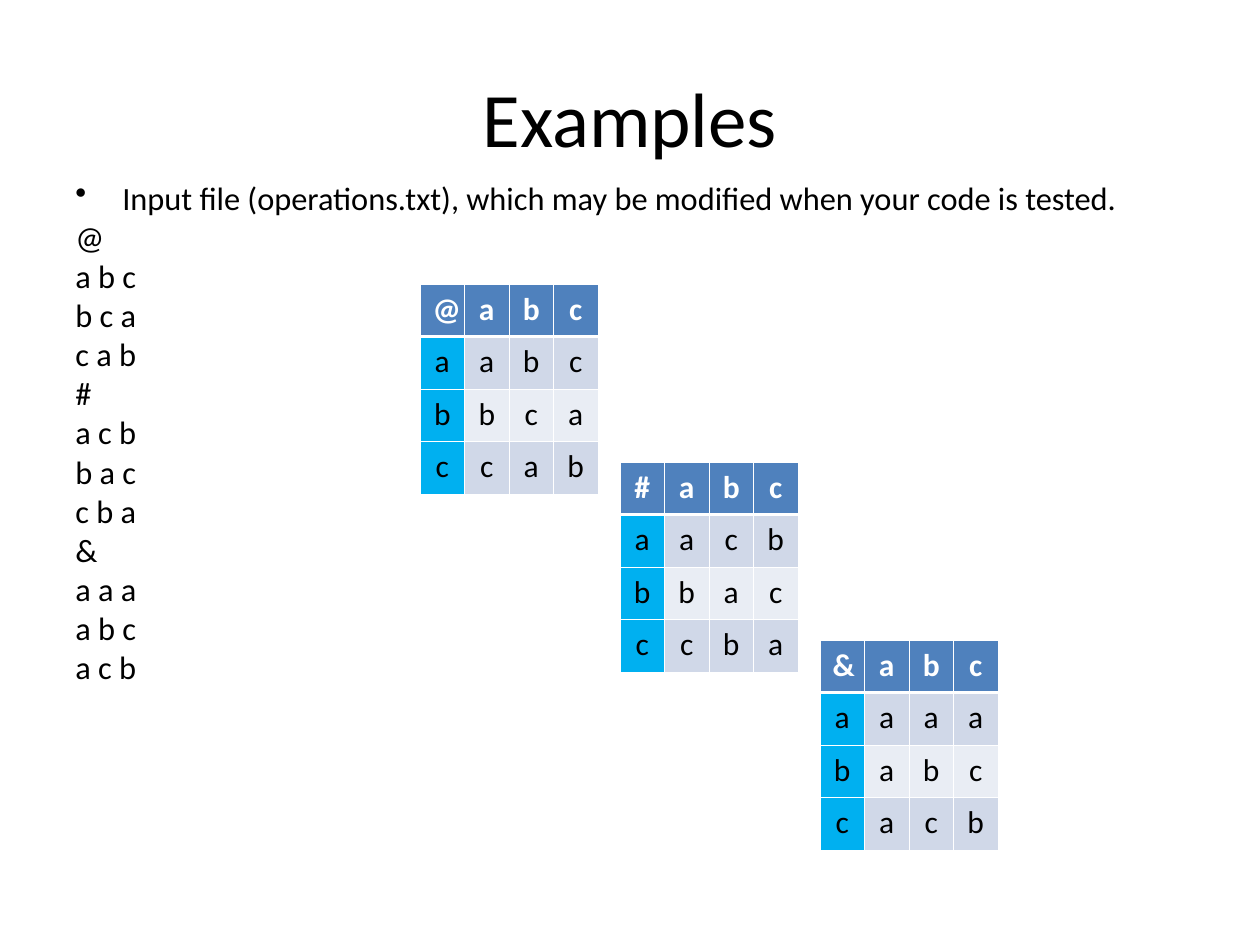
from dataclasses import dataclass

from lxml import etree
from pptx import Presentation
from pptx.dml.color import RGBColor
from pptx.enum.text import MSO_ANCHOR, PP_ALIGN
from pptx.oxml.ns import qn
from pptx.util import Emu, Pt

EMU_PER_PX = 914400 / 126
CENTER = PP_ALIGN.CENTER
LEFT = PP_ALIGN.LEFT
MIDDLE = MSO_ANCHOR.MIDDLE
TOP = MSO_ANCHOR.TOP

FONT = "Calibri"
BLACK = "000000"
WHITE = "FFFFFF"
HEADER_FILL = "4F81BD"
KEY_FILL = "00B0F0"
BAND_FILLS = ("D0D8E8", "E9EDF4")
THIN_BORDER = Pt(0.45)
HEADER_BORDER = Pt(1.47)

ELEMENTS = ("a", "b", "c")
TABLE_LEFT, TABLE_TOP = 420, 284
TABLE_WIDTH, TABLE_HEIGHT = 178, 210
STEP_X, STEP_Y = 200, 178
HANGING_INDENT = 47


@dataclass(frozen=True)
class Operation:
    symbol: str
    results: tuple[str, ...]


OPERATIONS = (
    Operation("@", ("a b c", "b c a", "c a b")),
    Operation("#", ("a c b", "b a c", "c b a")),
    Operation("&", ("a a a", "a b c", "a c b")),
)


def px(length: int) -> Emu:
    return Emu(round(length * EMU_PER_PX))


def color(hex_value: str) -> RGBColor:
    return RGBColor.from_string(hex_value)


def style_paragraph(paragraph, size: float, alignment, hex_value: str = BLACK,
                    bold: bool = False) -> None:
    paragraph.alignment = alignment
    paragraph.font.name = FONT
    paragraph.font.size = Pt(size)
    paragraph.font.bold = bold
    paragraph.font.color.rgb = color(hex_value)


def add_text_frame(slide, left: int, top: int, width: int, height: int, anchor):
    shape = slide.shapes.add_textbox(px(left), px(top), px(width), px(height))
    text_frame = shape.text_frame
    text_frame.word_wrap = True
    text_frame.vertical_anchor = anchor
    return text_frame


def add_title(slide) -> None:
    paragraph = add_text_frame(slide, 63, 38, 1134, 158, MIDDLE).paragraphs[0]
    paragraph.text = "Examples"
    style_paragraph(paragraph, 44, CENTER)


def set_hanging_bullet(paragraph, bulleted: bool) -> None:
    properties = paragraph._p.get_or_add_pPr()
    properties.set("marL", str(px(HANGING_INDENT)))
    properties.set("indent", str(-px(HANGING_INDENT)))
    bullet = etree.Element(qn("a:buChar" if bulleted else "a:buNone"))
    if bulleted:
        bullet.set("char", "•")
    properties.insert_element_before(bullet, "a:tabLst", "a:defRPr", "a:extLst")


def add_input_listing(slide) -> None:
    lines = ["Input file (operations.txt), which may be modified when your code is tested."]
    for operation in OPERATIONS:
        lines += [operation.symbol, *operation.results]

    text_frame = add_text_frame(slide, 63, 179, 1134, 624, TOP)
    text_frame.text = "\n".join(lines)
    for index, paragraph in enumerate(text_frame.paragraphs):
        style_paragraph(paragraph, 18.5, LEFT)
        paragraph.line_spacing = 0.8
        paragraph.space_before = Pt(4.6)
        set_hanging_bullet(paragraph, bulleted=index == 0)


def set_borders(cell, row: int) -> None:
    """Draw white cell edges, with a heavier one under the header row."""
    properties = cell._tc.get_or_add_tcPr()
    for side in ("L", "R", "T", "B"):
        under_header = (row, side) in ((0, "B"), (1, "T"))
        width = HEADER_BORDER if under_header else THIN_BORDER
        line = etree.SubElement(properties, qn(f"a:ln{side}"), w=str(width))
        fill = etree.SubElement(line, qn("a:solidFill"))
        etree.SubElement(fill, qn("a:srgbClr"), val=WHITE)


def cell_fill(row: int, column: int) -> str:
    if row == 0:
        return HEADER_FILL
    if column == 0:
        return KEY_FILL
    return BAND_FILLS[(row - 1) % 2]


def add_operation_table(slide, operation: Operation, left: int, top: int) -> None:
    rows = [(operation.symbol, *ELEMENTS)]
    rows += [(key, *result.split())
             for key, result in zip(ELEMENTS, operation.results)]
    table = slide.shapes.add_table(
        len(rows), len(rows[0]), px(left), px(top), px(TABLE_WIDTH), px(TABLE_HEIGHT)
    ).table
    table.horz_banding = False
    for row, values in enumerate(rows):
        is_header = row == 0
        for column, value in enumerate(values):
            cell = table.cell(row, column)
            set_borders(cell, row)
            cell.fill.solid()
            cell.fill.fore_color.rgb = color(cell_fill(row, column))
            cell.text = value
            style_paragraph(cell.text_frame.paragraphs[0], 18, CENTER,
                            WHITE if is_header else BLACK, is_header)


def main() -> None:
    presentation = Presentation()
    presentation.slide_width = px(1260)
    presentation.slide_height = px(945)
    slide = presentation.slides.add_slide(presentation.slide_layouts[6])
    add_title(slide)
    add_input_listing(slide)
    for index, operation in enumerate(OPERATIONS):
        add_operation_table(slide, operation,
                            TABLE_LEFT + index * STEP_X, TABLE_TOP + index * STEP_Y)
    presentation.save("out.pptx")


if __name__ == "__main__":
    main()
